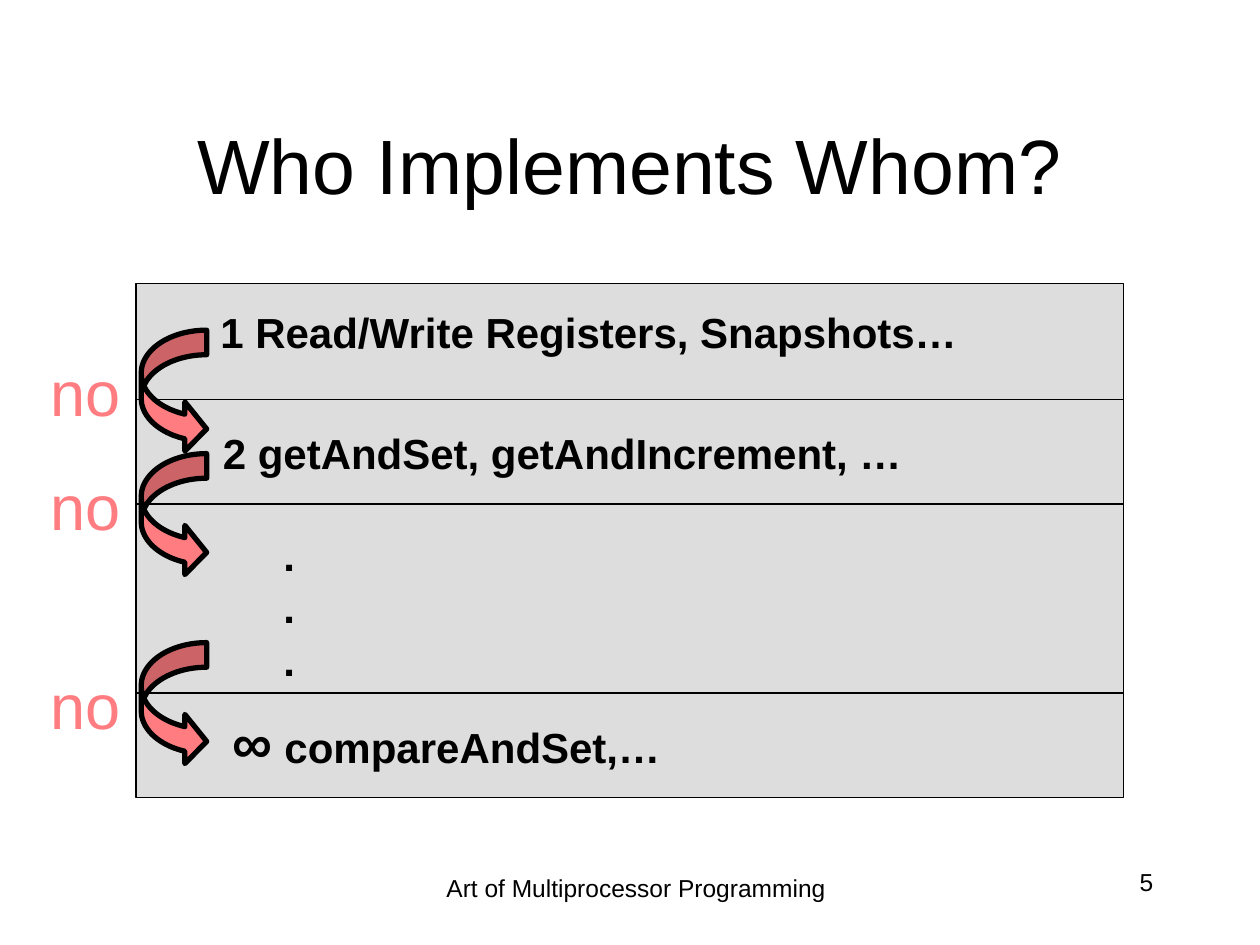
import pptx
import pptx.util
import pptx.dml.color
import pptx.enum.shapes
import pptx.enum.text

Inches = pptx.util.Inches
RGBColor = pptx.dml.color.RGBColor
Align = pptx.enum.text.PP_ALIGN
Anchor = pptx.enum.text.MSO_ANCHOR
Shape = pptx.enum.shapes.MSO_SHAPE

BLACK = RGBColor(0x00, 0x00, 0x00)
GRAY = RGBColor(0xDD, 0xDD, 0xDD)
PINK = RGBColor(0xFF, 0x7C, 0x80)
FONT = "Arial"

TITLE = "Who Implements Whom?"
FOOTER = "Art of Multiprocessor Programming"
PAGE_NUMBER = "5"

# Hierarchy panel: left and right edge, then the edges of its four rows
LEFT, RIGHT = 1.08, 8.92
ROW_EDGES = [2.25, 3.17, 4, 5.5, 6.33]

# Box (left, top, width, height) and paragraphs of (text, size) spans
LEVELS = [
    ((1.65, 2.38, 6.21, 0.5), [[("1 Read/Write Registers, Snapshots…", 24)]]),
    ((1.67, 3.34, 5.84, 0.5), [[("2 getAndSet, getAndIncrement, …", 24)]]),
    ((1.75, 5.57, 3.63, 0.64), [[("∞", 32), (" compareAndSet,…", 24)]]),
]
DOTS_BOX = (2.15, 4.13, 0.29, 1.31)
DOTS = [[(".", 24)]] * 3

# Tops of each arrow and of its "no" label
ARROW_TOPS = [(2.62, 2.76), (3.6, 3.66), (5.1, 5.24)]
ARROW_ADJUSTMENTS = (0.376, 0.751, 0.333)


def add_text(page, place, paragraphs, color=BLACK, bold=False, align=Align.LEFT,
             anchor=Anchor.TOP, wrap=False, line_spacing=None):
    box = page.shapes.add_textbox(*map(Inches, place))
    frame = box.text_frame
    frame.word_wrap = wrap
    frame.vertical_anchor = anchor
    for index, spans in enumerate(paragraphs):
        para = frame.paragraphs[0] if index == 0 else frame.add_paragraph()
        para.alignment = align
        para.line_spacing = line_spacing
        for text, size in spans:
            span = para.add_run()
            span.text = text
            span.font.name = FONT
            span.font.size = pptx.util.Pt(size)
            span.font.bold = bold
            span.font.color.rgb = color


def add_outlined(page, kind, place, fill, line_width):
    shape = page.shapes.add_shape(kind, *map(Inches, place))
    shape.shadow.inherit = False
    shape.fill.solid()
    shape.fill.fore_color.rgb = fill
    shape.line.color.rgb = BLACK
    shape.line.width = pptx.util.Pt(line_width)
    return shape


def add_divider(page, y):
    line = page.shapes.add_connector(
        pptx.enum.shapes.MSO_CONNECTOR.STRAIGHT,
        Inches(LEFT), Inches(y), Inches(RIGHT), Inches(y))
    line.line.color.rgb = BLACK
    line.line.width = pptx.util.Pt(0.75)
    properties = line._element.spPr
    properties.append(properties.makeelement(pptx.oxml.ns.qn("a:effectLst"), {}))


def main():
    deck = pptx.Presentation()
    deck.slide_width, deck.slide_height = Inches(10), Inches(7.5)
    page = deck.slides.add_slide(deck.slide_layouts[6])

    add_text(page, (0.75, 0.67, 8.5, 1.25), [[(TITLE, 44)]],
             align=Align.CENTER, anchor=Anchor.MIDDLE, wrap=True)

    top, *dividers, bottom = ROW_EDGES
    add_outlined(page, Shape.RECTANGLE,
                 (LEFT, top, RIGHT - LEFT, bottom - top), GRAY, 0.75)
    for y in dividers:
        add_divider(page, y)

    for place, paragraphs in LEVELS:
        add_text(page, place, paragraphs, bold=True)
    add_text(page, DOTS_BOX, DOTS, bold=True, line_spacing=1.05)

    for arrow_top, label_top in ARROW_TOPS:
        arrow = add_outlined(page, Shape.CURVED_RIGHT_ARROW,
                             (1.12, arrow_top, 0.52, 0.98), PINK, 3)
        for index, value in enumerate(ARROW_ADJUSTMENTS):
            arrow.adjustments[index] = value
        add_text(page, (0.3, label_top, 0.76, 0.71), [[("no", 36)]],
                 color=PINK, align=Align.CENTER)

    add_text(page, (7.17, 6.83, 2.08, 0.5), [[(PAGE_NUMBER, 14)]],
             align=Align.RIGHT, wrap=True)
    add_text(page, (3.23, 6.88, 3.64, 0.5), [[(FOOTER, 14)]],
             align=Align.CENTER, wrap=True)
    deck.save("out.pptx")


if __name__ == "__main__":
    main()
